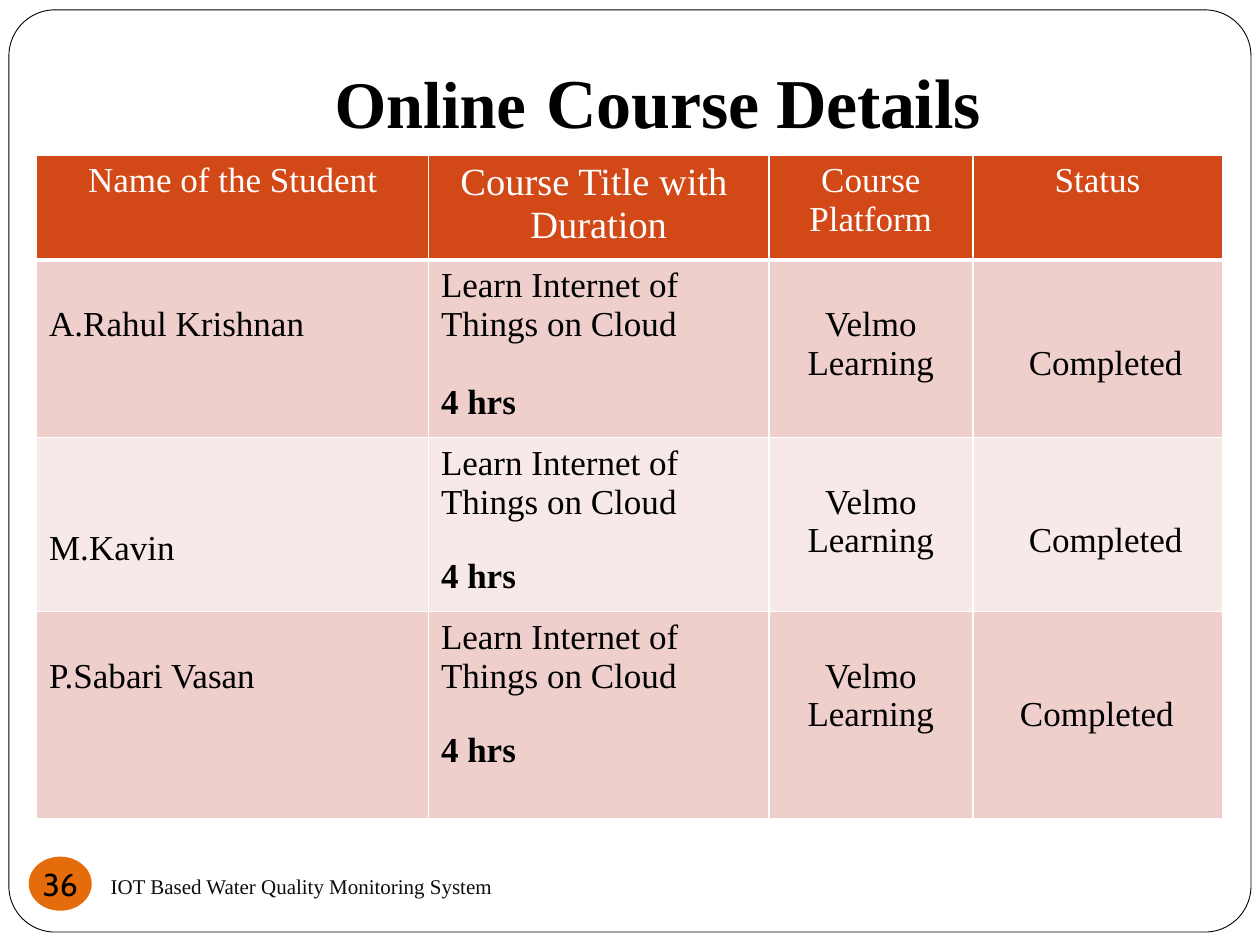
import pptx
import pptx.util
import pptx.dml.color
import pptx.enum.shapes
import pptx.enum.text
import pptx.oxml
import pptx.oxml.ns

Cm = pptx.util.Cm
Pt = pptx.util.Pt
SHAPES = pptx.enum.shapes.MSO_SHAPE
CENTER = pptx.enum.text.PP_ALIGN.CENTER
LEFT = pptx.enum.text.PP_ALIGN.LEFT
ANCHOR = pptx.enum.text.MSO_ANCHOR


def colour(hex_string):
    return pptx.dml.color.RGBColor.from_string(hex_string)


def add_span(para, text, hex_string, size, **formats):
    span = para.add_run()
    span.text = text
    span.font.color.rgb = colour(hex_string)
    values = {"name": "Times New Roman", "size": Pt(size), "bold": False, **formats}
    for name, value in values.items():
        setattr(span.font, name, value)
    return span


deck = pptx.Presentation()
deck.slide_width, deck.slide_height = Cm(25.4), Cm(19.05)
page = deck.slides.add_slide(deck.slide_layouts[6])

# Rounded page frame
frame = page.shapes.add_shape(SHAPES.ROUNDED_RECTANGLE, Cm(0.18), Cm(0.2), Cm(25.04), Cm(18.59))
frame.adjustments[0] = 0.05
frame.shadow.inherit = False
frame.fill.solid()
frame.fill.fore_color.rgb = colour("FFFFFF")
frame.line.color.rgb = colour("000000")
frame.line.width = Pt(0.5)

# Page number badge
badge = page.shapes.add_shape(SHAPES.OVAL, Cm(0.58), Cm(17.27), Cm(1.27), Cm(1.09))
badge.shadow.inherit = False
badge.fill.solid()
badge.fill.fore_color.rgb = colour("E46C0A")
badge.line.fill.background()
badge_format = {"margin_left": 0, "margin_right": 0, "margin_top": 0, "margin_bottom": 0,
                "word_wrap": False, "vertical_anchor": ANCHOR.MIDDLE}
for name, value in badge_format.items():
    setattr(badge.text_frame, name, value)
para = badge.text_frame.paragraphs[0]
para.alignment = CENTER
add_span(para, "36", "000000", 18, name="Cabin")

# Footer
footer = page.shapes.add_textbox(Cm(1.98), Cm(17.48), Cm(10.08), Cm(0.76))
footer.text_frame.word_wrap = True
add_span(footer.text_frame.paragraphs[0], "IOT Based Water Quality Monitoring System", "0D0D0D", 12)

# Title, with letter spacing in hundredths of a point
title = page.shapes.add_textbox(Cm(2.46), Cm(0.79), Cm(21.59), Cm(2.34))
title_format = {"word_wrap": True, "vertical_anchor": ANCHOR.BOTTOM, "margin_bottom": Cm(0.25)}
for name, value in title_format.items():
    setattr(title.text_frame, name, value)
para = title.text_frame.paragraphs[0]
para.alignment = CENTER
title_spans = [("Online", 38, -10), (" ", 40, 180), ("Course ", 40, -10), ("Details", 40, -20)]
for text, size, spacing in title_spans:
    span = add_span(para, text, "000000", size, bold=True)
    span.font._element.set("spc", str(spacing))

# Table content: each cell is (top offset cm, left indent cm, alignment, paragraphs),
# each paragraph is (text, size, bold, space before in points)
line = 0.78
course = "Learn Internet of Things on Cloud"
rows = [[
    (0, 0, CENTER, [("Name of the Student", 20, False, 0)]),
    (0, 0, CENTER, [("Course Title with ", 22, False, 0), ("Duration", 22, False, 0)]),
    (0, 0, CENTER, [("Course Platform", 20, False, 0)]),
    (0, 0, CENTER, [("Status", 20, False, 0)]),
]]
students = [("A.Rahul Krishnan", line, 22, 0.88),
            ("M.Kavin", 1.71, 20, 0.88),
            ("P.Sabari Vasan", line, 20, 0.7)]
for student, offset, gap, indent in students:
    rows.append([
        (offset, 0, LEFT, [(student, 20, False, 0)]),
        (0, 0, LEFT, [(course, 20, False, 0), ("4 hrs", 20, True, gap)]),
        (line, 0, CENTER, [("Velmo Learning", 20, False, 0)]),
        (2 * line, indent, LEFT, [("Completed", 20, False, 0)]),
    ])

# Table
widths = [7.9, 6.86, 4.11, 5.03]
heights = [2.01, 3.56, 3.38, 4.17]
fills = ["D34817", "EFCFCC", "F7E9E8", "EFCFCC"]
table = page.shapes.add_table(len(rows), len(widths), Cm(0.74), Cm(3.12),
                              Cm(sum(widths)), Cm(sum(heights))).table
for column, width in zip(table.columns, widths):
    column.width = Cm(width)
for row, height in zip(table.rows, heights):
    row.height = Cm(height)

for r, cells in enumerate(rows):
    for c, (offset, indent, alignment, paras) in enumerate(cells):
        cell = table.cell(r, c)
        cell.fill.solid()
        cell.fill.fore_color.rgb = colour(fills[r])
        cell_format = {"margin_left": Cm(0.25 + indent), "margin_right": Cm(0.25),
                       "margin_top": Cm(0.13 + offset), "margin_bottom": Cm(0.13),
                       "vertical_anchor": ANCHOR.TOP}
        for name, value in cell_format.items():
            setattr(cell, name, value)

        for i, (text, size, bold, gap) in enumerate(paras):
            para = cell.text_frame.add_paragraph() if i else cell.text_frame.paragraphs[0]
            para.alignment = alignment
            para.space_before = Pt(gap)
            add_span(para, text, "000000" if r else "FFFFFF", size, bold=bold)

        # White cell borders, heavier below the header
        edges = {"lnL": 1, "lnR": 1, "lnT": 3 if r == 1 else 1, "lnB": 1 if r else 3}
        for i, (edge, points) in enumerate(edges.items()):
            border = pptx.oxml.parse_xml(
                f'<a:{edge} {pptx.oxml.ns.nsdecls("a")} w="{Pt(points)}"><a:solidFill>'
                f'<a:srgbClr val="FFFFFF"/></a:solidFill></a:{edge}>')
            cell._tc.get_or_add_tcPr().insert(i, border)

deck.save("out.pptx")
